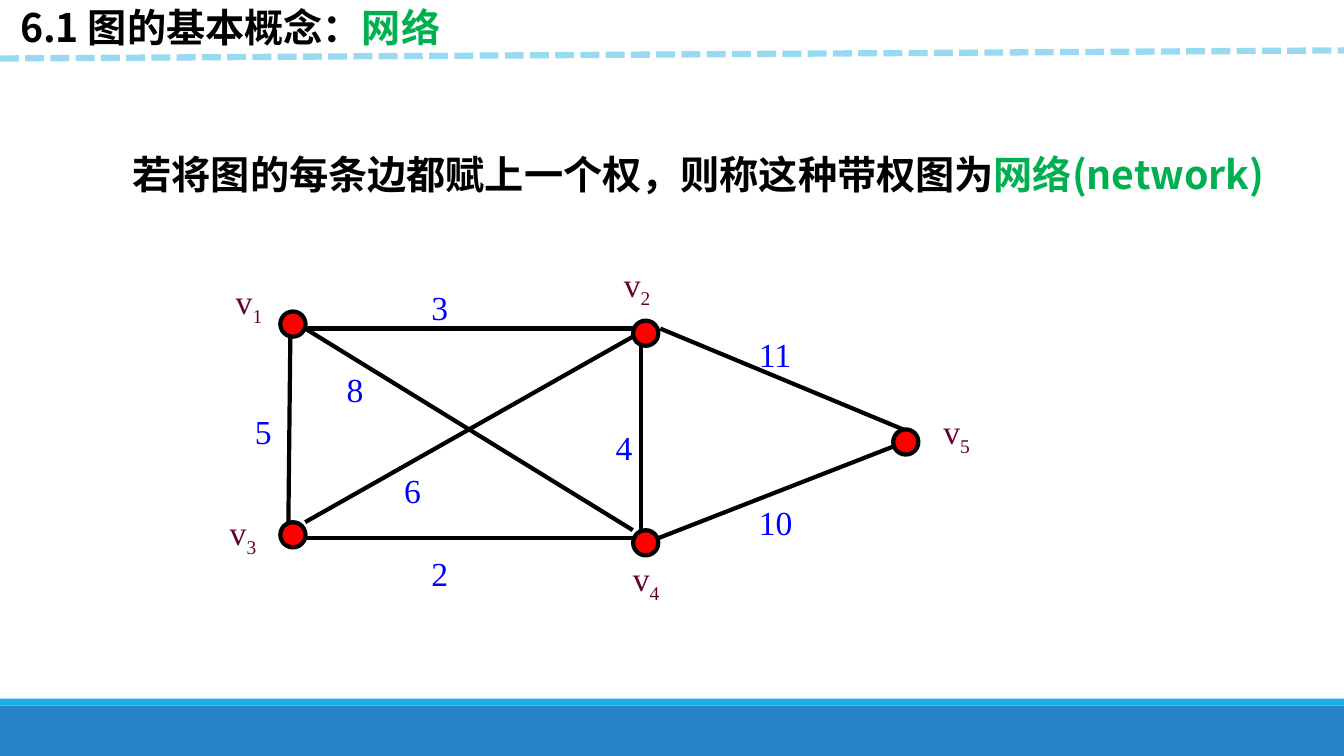
from lxml import etree
from pptx import Presentation
from pptx.dml.color import RGBColor
from pptx.enum import dml, shapes, text
from pptx.oxml import ns
from pptx.util import Pt

BLACK = RGBColor(0, 0, 0)
GREEN = RGBColor(0x00, 0xB0, 0x50)
RED = RGBColor(0xFF, 0, 0)
BLUE = RGBColor(0, 0, 0xFF)
WINE = RGBColor(0x66, 0x00, 0x33)
PALE = RGBColor(0x99, 0xDA, 0xF3)
CYAN = RGBColor(0x1C, 0xAD, 0xE4)
DEEP = RGBColor(0x26, 0x83, 0xC6)
SANS = "Noto Sans CJK SC"
SERIF = "Times New Roman"

WIDE, HIGH = 960, 540
DOT = 18
TITLE = [("6.1 图的基本概念：", BLACK), ("网络", GREEN)]
BODY = [("若将图的每条边都赋上一个权，则称这种带权图为", BLACK), ("网络(network)", GREEN)]
BARS = [(504, 36, DEEP), (499, 5, CYAN)]

# node left, node top, label left, label top
NODES = {
    "1": (200.2, 222.5, 161.3, 197.3),
    "2": (452.2, 229, 438.5, 185),
    "3": (200.2, 373, 157, 362.2),
    "4": (452.2, 378.7, 445, 395.3),
    "5": (638, 306.7, 666.7, 290.2),
}
# weight, line ends, label left, label top
EDGES = [
    ("3", (218, 234.7, 452, 234.7), (301, 201.6)),
    ("2", (218, 384.5, 452, 384.5), (301, 391.7)),
    ("4", (458, 247, 458, 378.7), (432.7, 301.7)),
    ("5", (207.4, 240.5, 206, 373), (175, 290.2)),
    ("6", (452, 240.5, 218, 373), (281.5, 332)),
    ("8", (218, 234.7, 452, 378.7), (240.5, 260)),
    ("11", (471.6, 234.7, 645, 306.7), (535, 234.7)),
    ("10", (470, 384.5, 638, 319), (535, 355)),
]

deck = Presentation()
deck.slide_width, deck.slide_height = Pt(WIDE), Pt(HIGH)
slide = deck.slides.add_slide(deck.slide_layouts[1])
parts = slide.shapes


def add_run(para, words, size, face, color, bold=False):
    run = para.add_run()
    run.text = words
    font = run.font
    font.size, font.name, font.bold = Pt(size), face, bold
    font.color.rgb = color
    props = run._r.get_or_add_rPr()
    etree.SubElement(props, ns.qn("a:ea")).set("typeface", face)
    return props


def fill_holder(holder, box, runs, anchor):
    holder.left, holder.top, holder.width, holder.height = map(Pt, box)
    frame = holder.text_frame
    frame.auto_size = text.MSO_AUTO_SIZE.NONE
    frame.vertical_anchor = anchor
    para = frame.paragraphs[0]
    para.alignment = text.PP_ALIGN.LEFT
    para.space_before = Pt(0)
    for words, color in runs:
        add_run(para, words, 28, SANS, color, True)
    return para


def add_solid(kind, box, color):
    shape = parts.add_shape(kind, *map(Pt, box))
    shape.shadow.inherit = False
    shape.fill.solid()
    shape.fill.fore_color.rgb = color
    shape.line.fill.background()
    return shape


def add_line(ends, color, width):
    line = parts.add_connector(shapes.MSO_CONNECTOR.STRAIGHT, *map(Pt, ends))
    line.line.color.rgb = color
    line.line.width = Pt(width)
    etree.SubElement(line._element.spPr, ns.qn("a:effectLst"))
    return line


def add_label(left, top, width, words, color):
    box = parts.add_textbox(Pt(left), Pt(top), Pt(width), Pt(36.7))
    box.text_frame.word_wrap = False
    para = box.text_frame.paragraphs[0]
    add_run(para, words, 24, SERIF, color)
    return para


for top, high, color in BARS:
    add_solid(shapes.MSO_SHAPE.RECTANGLE, (0, top, WIDE, high), color)

fill_holder(parts.title, (7.2, -1.4, 519, 41), TITLE, text.MSO_ANCHOR.MIDDLE)
para = fill_holder(slide.placeholders[1], (78.5, 93.6, 849.6, 58.3), BODY, text.MSO_ANCHOR.TOP)
para.line_spacing = 1.3
props = para._p.get_or_add_pPr()
props.set("marL", str(Pt(9)))
props.set("indent", "0")
etree.SubElement(props, ns.qn("a:buNone"))

for left, top, _, _ in NODES.values():
    node = add_solid(shapes.MSO_SHAPE.OVAL, (left, top, DOT, DOT), RED)
    node.line.color.rgb = BLACK
    node.line.width = Pt(3)

for _, ends, _ in EDGES:
    add_line(ends, BLACK, 3)

for name, (_, _, left, top) in NODES.items():
    para = add_label(left, top, 34.6, "v", WINE)
    add_run(para, name, 24, SERIF, WINE).set("baseline", "-25000")

for weight, _, (left, top) in EDGES:
    add_label(left, top, 14.4 + 12 * len(weight), weight, BLUE)

rule = add_line((0, 41.8, WIDE, 36), PALE, 4.5)
rule.line.dash_style = dml.MSO_LINE.SQUARE_DOT

deck.save("out.pptx")
